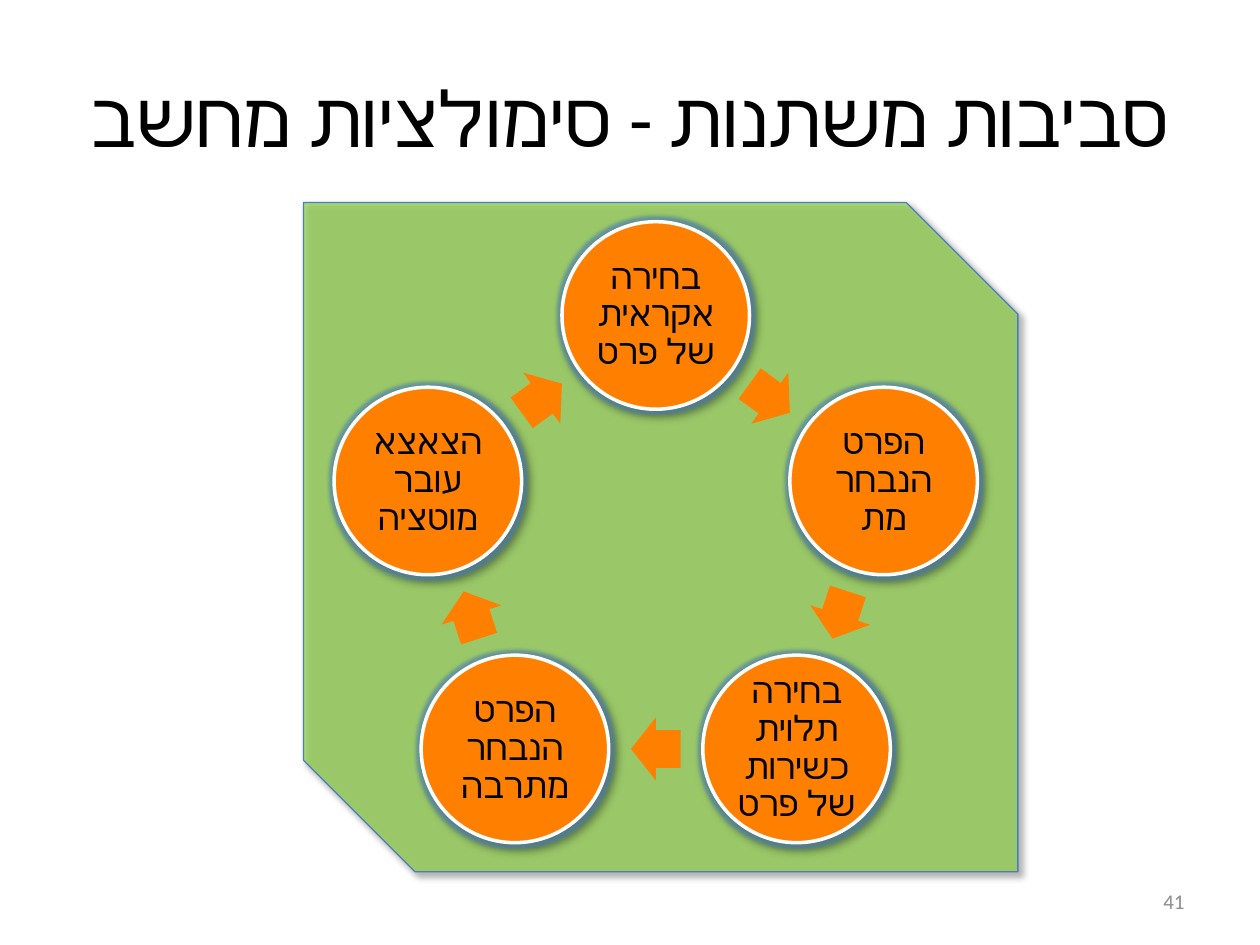
from math import cos, pi, sin

from lxml import etree
from pptx import Presentation, util as u
from pptx.dml.color import RGBColor
from pptx.enum import shapes, text
from pptx.oxml.ns import qn

KIND = shapes.MSO_SHAPE
ALIGN = text.PP_ALIGN


def shade(code):
    return RGBColor.from_string(code)


def add(node, tag, **attrs):
    return etree.SubElement(node, qn(tag), {k: str(v) for k, v in attrs.items()})


class Deck:
    ink, orange, green = "000000", "FF8000", "92D050"
    blue, white, grey = "4B7EBC", "FFFFFF", "8C8C8C"

    def __init__(self, wide, high):
        self.prs = Presentation()
        self.prs.slide_width, self.prs.slide_height = u.Cm(wide), u.Cm(high)
        self.slide = self.prs.slides.add_slide(self.prs.slide_layouts[6])

    def label(self, words, box, size, face="Calibri", hue=ink,
              align=ALIGN.CENTER, inset=None, lead=None):
        area = self.slide.shapes.add_textbox(*map(u.Cm, box))
        frame = area.text_frame
        form = {"word_wrap": True, "vertical_anchor": text.MSO_ANCHOR.MIDDLE}
        if inset is not None:
            for side in ("left", "right", "top", "bottom"):
                form["margin_" + side] = u.Cm(inset)
        for name, value in form.items():
            setattr(frame, name, value)
        para = frame.paragraphs[0]
        para.alignment, para.line_spacing = align, lead
        para._p.get_or_add_pPr().set("rtl", "1")
        run = para.add_run()
        run.text = words
        for name, value in {"size": u.Pt(size), "name": face}.items():
            setattr(run.font, name, value)
        run.font.color.rgb = shade(hue)
        # Hebrew takes the complex-script font
        add(run._r.get_or_add_rPr(), "a:cs", typeface=face)

    def shape(self, kind, mid, size, fill, line=None, width=0, turn=0):
        (x, y), (w, h) = mid, size
        form = self.slide.shapes.add_shape(
            kind, *map(u.Cm, (x - w / 2, y - h / 2, w, h)))
        form.rotation = turn
        form.shadow.inherit = False
        form.fill.solid()
        form.fill.fore_color.rgb = shade(fill)
        if line:
            form.line.color.rgb = shade(line)
            form.line.width = u.Pt(width)
        else:
            form.line.fill.background()
        return form

    def fade(self, form, share):
        tint = form._element.spPr.find(qn("a:solidFill"))[0]
        add(tint, "a:alpha", val=share * 1000)

    def effect(self, form, tag, hue, share, **attrs):
        node = add(form._element.spPr.find(qn("a:effectLst")), tag, **attrs)
        add(add(node, "a:srgbClr", val=hue), "a:alpha", val=share * 1000)

    def shadow(self, form):
        self.effect(form, "a:outerShdw", self.ink, 40, blurRad=u.Pt(4),
                    dist=u.Pt(3), dir=45 * 60000, rotWithShape=0)

    def panel(self, mid, size):
        form = self.shape(KIND.SNIP_2_DIAG_RECTANGLE, mid, size,
                          self.green, self.blue, 0.75)
        self.fade(form, 75)
        self.shadow(form)

    def step(self, words, mid):
        form = self.shape(KIND.OVAL, mid, (3.78, 3.78), self.orange, self.white, 2)
        self.effect(form, "a:glow", self.blue, 60, rad=u.Pt(4))
        self.shadow(form)
        side = 2.67
        box = (mid[0] - side / 2, mid[1] - side / 2, side, side)
        self.label(words, box, 20, "Roboto", inset=0.08, lead=0.9)

    def arrow(self, mid, turn):
        form = self.shape(KIND.RIGHT_ARROW, mid, (1, 1.27), self.orange, turn=turn)
        form.adjustments[0], form.adjustments[1] = 0.6, 0.5


def main():
    deck = Deck(25.4, 19.05)

    # Title and page number
    deck.label("סביבות משתנות - סימולציות מחשב", (1.27, 0.76, 22.86, 3.18), 44)
    deck.label("41", (18.21, 17.65, 5.92, 1.02), 12, hue=deck.grey,
               align=ALIGN.RIGHT)

    # Green panel
    deck.panel((13.32, 10.83), (14.4, 13.49))

    # Cycle: steps on a ring, each followed by an arrow to the next
    steps = ["בחירה אקראית של פרט", "הפרט הנבחר מת",
             "בחירה תלוית כשירות של פרט", "הפרט הנבחר מתרבה",
             "הצאצא עובר מוטציה"]
    x, y, ring = 13.22, 11.19, 4.83
    part = 2 * pi / len(steps)
    inner = ring * cos(part / 2)

    def spot(reach, angle):
        return x + reach * sin(angle), y - reach * cos(angle)

    for i, words in enumerate(steps):
        deck.step(words, spot(ring, i * part))
        deck.arrow(spot(inner, (i + 0.5) * part), (i + 0.5) * 360 / len(steps))

    deck.prs.save("out.pptx")


if __name__ == "__main__":
    main()
